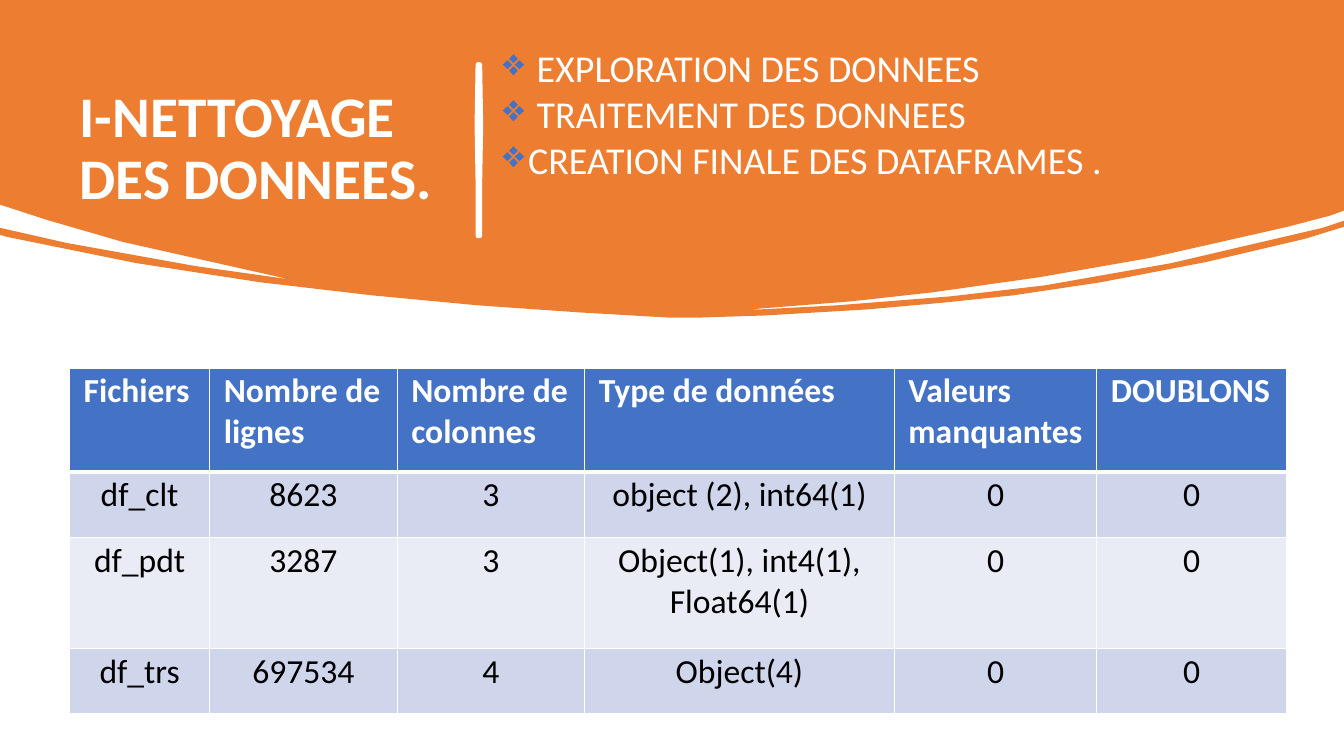
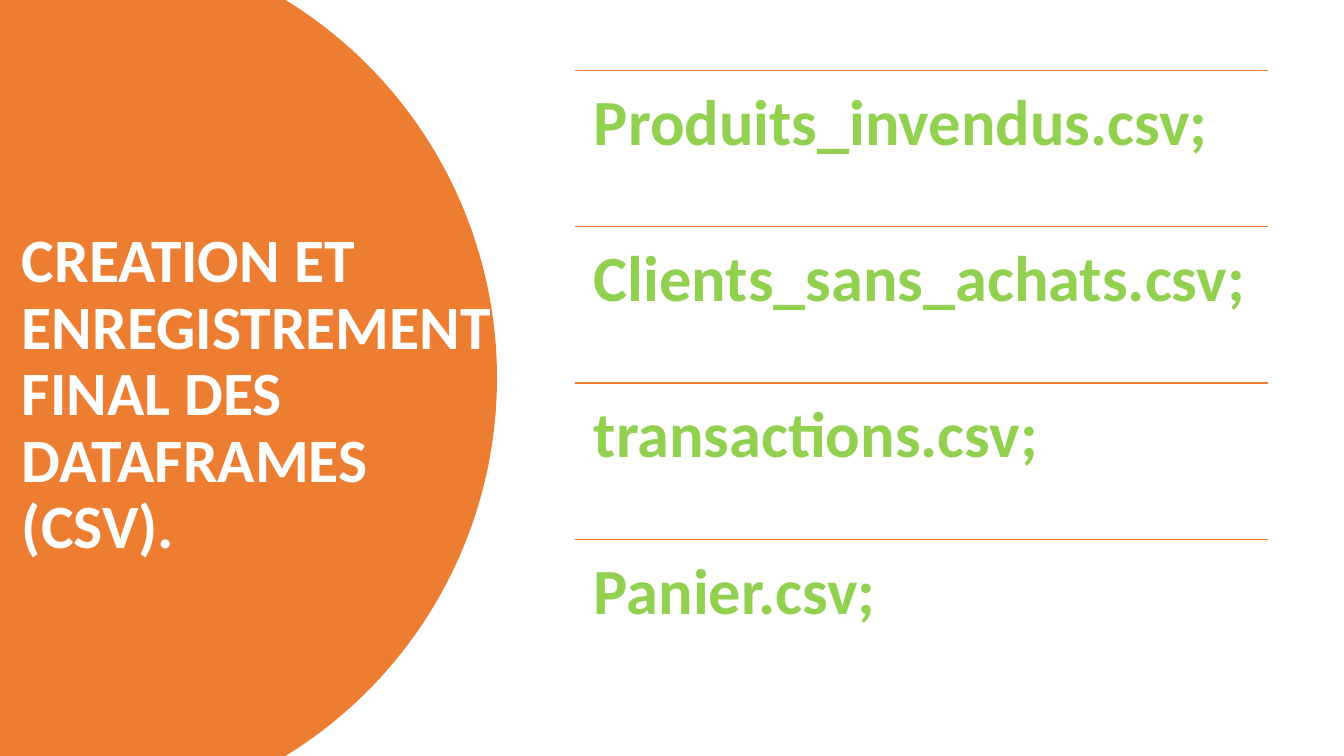
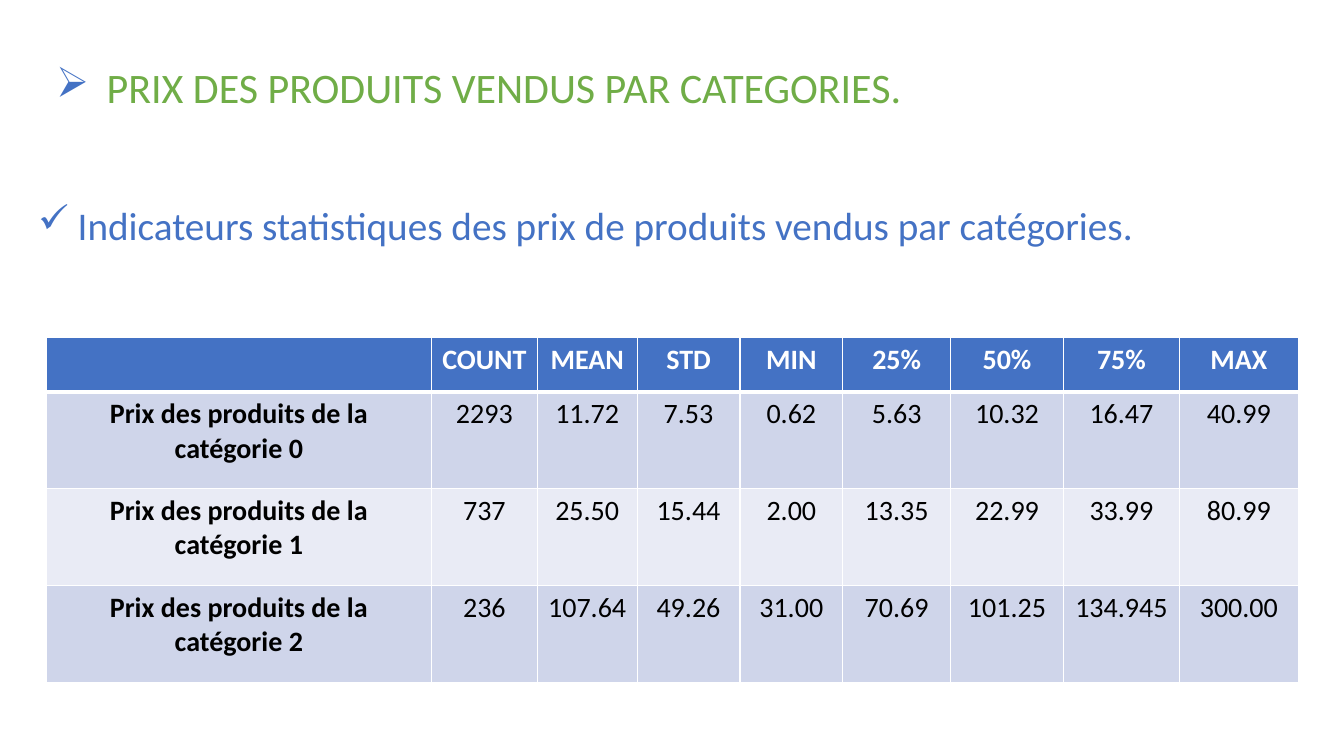
"""Build three slides on data cleaning, file creation and price statistics."""
import dataclasses
import math
import typing

import lxml.etree
import pptx
import pptx.dml.color
import pptx.enum.shapes
import pptx.enum.text
import pptx.oxml.ns
import pptx.util

Inches = pptx.util.Inches
Pt = pptx.util.Pt
qn = pptx.oxml.ns.qn
Align = pptx.enum.text.PP_ALIGN
Anchor = pptx.enum.text.MSO_ANCHOR

FONT = "Calibri"
WHITE = "FFFFFF"
BLACK = "000000"
ORANGE = "ED7D31"
BLUE = "4472C4"
GREEN = "70AD47"
LIME = "92D050"
ROW_FILLS = ("CFD5EA", "E9EBF5")
SLIDE_WIDTH = 13.33
SLIDE_HEIGHT = 7.5

Points = list[tuple[float, float]]

BAND_OUTLINE: Points = [
    (0, 0), (SLIDE_WIDTH, 0), (13.33, 2.09), (13.19, 2.14), (12.77, 2.25),
    (11.4, 2.56), (10.31, 2.75), (9.25, 2.9), (8.44, 2.99), (7.43, 3.07),
    (7.53, 3.07), (8.29, 3.03), (9.43, 2.94), (10.37, 2.83), (11.62, 2.61),
    (13.12, 2.26), (13.33, 2.19), (13.33, 2.25), (12.94, 2.37), (11.96, 2.6),
    (10.92, 2.8), (10.05, 2.93), (9.38, 3), (8.6, 3.07), (7.58, 3.13),
    (6.96, 3.15), (6.62, 3.15), (5.76, 3.1), (4.75, 3.03), (3.69, 2.93),
    (2.58, 2.8), (1.35, 2.61), (0.07, 2.35), (0, 2.33), (0, 2.26),
    (0.66, 2.41), (1.94, 2.64), (2.86, 2.77), (2.82, 2.76), (1.22, 2.4),
    (0.46, 2.18), (0, 2.03),
]
DIVIDER_OUTLINE: Points = [
    (4.74, 0.64), (4.76, 0.64), (4.77, 1.24), (4.76, 1.82), (4.76, 2.34),
    (4.74, 2.34), (4.74, 1.81), (4.73, 1.24),
]


@dataclasses.dataclass(frozen=True)
class Box:
    """A rectangle in inches."""

    left: float
    top: float
    width: float
    height: float

    def lengths(self) -> tuple[pptx.util.Length, ...]:
        """Return the rectangle as lengths."""
        return tuple(Inches(value) for value in dataclasses.astuple(self))


@dataclasses.dataclass(frozen=True)
class TextStyle:
    """The look of a text."""

    size: float
    color: str
    bold: bool = False
    line_spacing: float = 0.9
    space_after: float = 0
    anchor: typing.Any = Anchor.TOP
    inset: tuple[float, float] = (0.1, 0.05)


@dataclasses.dataclass(frozen=True)
class Bullet:
    """A bullet sign with its hanging indent in inches."""

    sign: str
    indent: float = 0.25


@dataclasses.dataclass(frozen=True)
class TableDesign:
    """The place and look of a table."""

    left: float
    top: float
    columns: tuple[float, ...]
    rows: tuple[float, ...]
    size: float
    inset: tuple[float, float] = (0.1, 0.05)
    header_alignment: typing.Any = Align.CENTER
    bold_first_column: bool = False


def color(value: str) -> pptx.dml.color.RGBColor:
    """Turn a hex string into a colour."""
    return pptx.dml.color.RGBColor.from_string(value)


def format_runs(paragraph: typing.Any, size: float, text_color: str, bold: bool) -> None:
    """Format all runs of a paragraph."""
    for run in paragraph.runs:
        run.font.name = FONT
        run.font.size = Pt(size)
        run.font.bold = bold
        run.font.color.rgb = color(text_color)


def add_bullet(paragraph: typing.Any, bullet: Bullet) -> None:
    """Give a paragraph a blue bullet."""
    properties = paragraph._p.get_or_add_pPr()
    properties.set("marL", str(Inches(bullet.indent)))
    properties.set("indent", str(-Inches(bullet.indent)))
    bullet_color = lxml.etree.SubElement(properties, qn("a:buClr"))
    lxml.etree.SubElement(bullet_color, qn("a:srgbClr"), val=BLUE)
    lxml.etree.SubElement(properties, qn("a:buChar"), char=bullet.sign)


def add_text(slide: typing.Any, box: Box, lines: list[str], style: TextStyle,
             bullet: Bullet | None = None) -> None:
    """Add a text box with one paragraph for each line."""
    frame = slide.shapes.add_textbox(*box.lengths()).text_frame
    frame.word_wrap = True
    frame.vertical_anchor = style.anchor
    frame.margin_left = frame.margin_right = Inches(style.inset[0])
    frame.margin_top = frame.margin_bottom = Inches(style.inset[1])
    frame.text = "\n".join(lines)
    for paragraph in frame.paragraphs:
        paragraph.alignment = Align.LEFT
        paragraph.line_spacing = style.line_spacing
        paragraph.space_after = Pt(style.space_after)
        format_runs(paragraph, style.size, style.color, style.bold)
        if bullet:
            add_bullet(paragraph, bullet)


def add_title(slide: typing.Any, box: Box, text: str, size: float,
              text_color: str = WHITE, bold: bool = True,
              bullet: Bullet | None = None) -> None:
    """Add a vertically centred title."""
    style = TextStyle(size, text_color, bold, anchor=Anchor.MIDDLE)
    add_text(slide, box, [text], style, bullet)


def add_outline(slide: typing.Any, points: Points, fill: str, line_width: float = 0) -> None:
    """Add a closed filled shape through the points."""
    corners = [(Inches(x), Inches(y)) for x, y in points]
    builder = slide.shapes.build_freeform(*corners[0])
    builder.add_line_segments(corners[1:], close=True)
    shape = builder.convert_to_shape()
    shape.shadow.inherit = False
    shape.fill.solid()
    shape.fill.fore_color.rgb = color(fill)
    if line_width:
        shape.line.color.rgb = color(fill)
        shape.line.width = Pt(line_width)
    else:
        shape.line.fill.background()


def add_rule(slide: typing.Any, left: float, top: float, width: float) -> None:
    """Add a thin horizontal orange line."""
    connector = slide.shapes.add_connector(
        pptx.enum.shapes.MSO_CONNECTOR.STRAIGHT,
        Inches(left), Inches(top), Inches(left + width), Inches(top))
    connector.line.color.rgb = color(ORANGE)
    connector.line.width = Pt(1)
    lxml.etree.SubElement(connector._element.spPr, qn("a:effectLst"))


def add_borders(cell: typing.Any, top_width: float, bottom_width: float) -> None:
    """Draw the white borders of a cell."""
    properties = cell._tc.get_or_add_tcPr()
    widths = {"a:lnL": 1, "a:lnR": 1, "a:lnT": top_width, "a:lnB": bottom_width}
    for tag, width in widths.items():
        border = lxml.etree.SubElement(properties, qn(tag), w=str(Pt(width)))
        fill = lxml.etree.SubElement(border, qn("a:solidFill"))
        lxml.etree.SubElement(fill, qn("a:srgbClr"), val=WHITE)


def add_table(slide: typing.Any, design: TableDesign, content: list[list[str]]) -> None:
    """Add a table with a blue header and banded rows."""
    box = Box(design.left, design.top, sum(design.columns), sum(design.rows))
    table = slide.shapes.add_table(
        len(design.rows), len(design.columns), *box.lengths()).table
    for column, width in zip(table.columns, design.columns):
        column.width = Inches(width)
    for row, height in zip(table.rows, design.rows):
        row.height = Inches(height)
    for row_index, texts in enumerate(content):
        header = row_index == 0
        for column_index, text in enumerate(texts):
            cell = table.cell(row_index, column_index)
            add_borders(cell, 3 if row_index == 1 else 1, 3 if header else 1)
            cell.fill.solid()
            cell.fill.fore_color.rgb = color(BLUE if header else ROW_FILLS[(row_index - 1) % 2])
            cell.margin_left = cell.margin_right = Inches(design.inset[0])
            cell.margin_top = cell.margin_bottom = Inches(design.inset[1])
            cell.text_frame.text = text
            paragraph = cell.text_frame.paragraphs[0]
            paragraph.alignment = design.header_alignment if header else Align.CENTER
            bold = header or (design.bold_first_column and column_index == 0)
            format_runs(paragraph, design.size, WHITE if header else BLACK, bold)


def build_cleaning_slide(slide: typing.Any) -> None:
    """Draw the data cleaning slide."""
    add_outline(slide, BAND_OUTLINE, ORANGE)
    add_title(slide, Box(0.69, 0.69, 3.94, 1.6), "I-NETTOYAGE DES DONNEES.", 41)
    add_outline(slide, DIVIDER_OUTLINE, WHITE, 3.25)
    steps = [" EXPLORATION DES DONNEES", " TRAITEMENT DES DONNEES",
             "CREATION FINALE DES DATAFRAMES ."]
    style = TextStyle(27.1, WHITE, line_spacing=0.7, space_after=10)
    add_text(slide, Box(4.89, 0.52, 6.86, 1.5), steps, style, Bullet("❖"))
    design = TableDesign(
        0.69, 3.65, (1.39, 1.86, 1.86, 3.07, 2.01, 1.88), (1.03, 0.65, 1.1, 0.65),
        24, (0.14, 0.03), Align.LEFT)
    add_table(slide, design, [
        ["Fichiers", "Nombre de lignes", "Nombre de colonnes", "Type de données",
         "Valeurs manquantes", "DOUBLONS"],
        ["df_clt", "8623", "3", "object (2), int64(1)", "0", "0"],
        ["df_pdt", "3287", "3", "Object(1), int4(1), Float64(1)", "0", "0"],
        ["df_trs", "697534", "4", "Object(4)", "0", "0"],
    ])


def build_files_slide(slide: typing.Any) -> None:
    """Draw the slide that lists the created files."""
    radius, center_x, center_y, steps = 4.4, 0.53, SLIDE_HEIGHT / 2, 80
    limit = math.asin(center_y / radius)
    angles = [limit * (2 * step / steps - 1) for step in range(steps + 1)]
    arc = [(center_x + radius * math.cos(angle), center_y + radius * math.sin(angle))
           for angle in angles]
    add_outline(slide, [(0, 0), *arc, (0, SLIDE_HEIGHT)], ORANGE)
    add_title(slide, Box(0.12, 1.74, 4.93, 4.37),
              "CREATION ET ENREGISTREMENT FINAL DES DATAFRAMES (CSV).", 44)
    left, first_top, width, pitch = 5.7, 0.7, 6.88, 1.55
    style = TextStyle(46, LIME, True, inset=(0.19, 0.19))
    files = ["Produits_invendus.csv;", "Clients_sans_achats.csv;",
             "transactions.csv;", "Panier.csv;"]
    for index, file_name in enumerate(files):
        top = first_top + index * pitch
        add_rule(slide, left, top, width)
        add_text(slide, Box(left, top, width, pitch), [file_name], style)


def build_prices_slide(slide: typing.Any) -> None:
    """Draw the price statistics slide."""
    add_title(slide, Box(0.46, 0.4, 12.33, 0.98),
              "PRIX DES PRODUITS VENDUS PAR CATEGORIES.", 30, GREEN, False,
              Bullet("➢", 0.5))
    add_text(slide, Box(0.28, 2, 12.76, 0.6),
             [" Indicateurs statistiques des prix de produits vendus par catégories."],
             TextStyle(28, BLUE), Bullet("✓"))
    design = TableDesign(
        0.46, 3.35, (3.82, 1.05, 0.99, 1.02, 1.02, 1.07, 1.12, 1.15, 1.18),
        (0.54, 0.96, 0.96, 0.96), 20, bold_first_column=True)
    statistics = [
        ["2293", "11.72", "7.53", "0.62", "5.63", "10.32", "16.47", "40.99"],
        ["737", "25.50", "15.44", "2.00", "13.35", "22.99", "33.99", "80.99"],
        ["236", "107.64", "49.26", "31.00", "70.69", "101.25", "134.945", "300.00"],
    ]
    add_table(slide, design, [
        ["", "COUNT", "MEAN", "STD", "MIN", "25%", "50%", "75%", "MAX"],
        *([f"Prix des produits de la catégorie {category}", *values]
          for category, values in enumerate(statistics)),
    ])


def main() -> None:
    """Build and save the presentation."""
    presentation = pptx.Presentation()
    presentation.slide_width = Inches(SLIDE_WIDTH)
    presentation.slide_height = Inches(SLIDE_HEIGHT)
    blank_layout = presentation.slide_layouts[6]
    for build in (build_cleaning_slide, build_files_slide, build_prices_slide):
        build(presentation.slides.add_slide(blank_layout))
    presentation.save("out.pptx")


if __name__ == "__main__":
    main()
